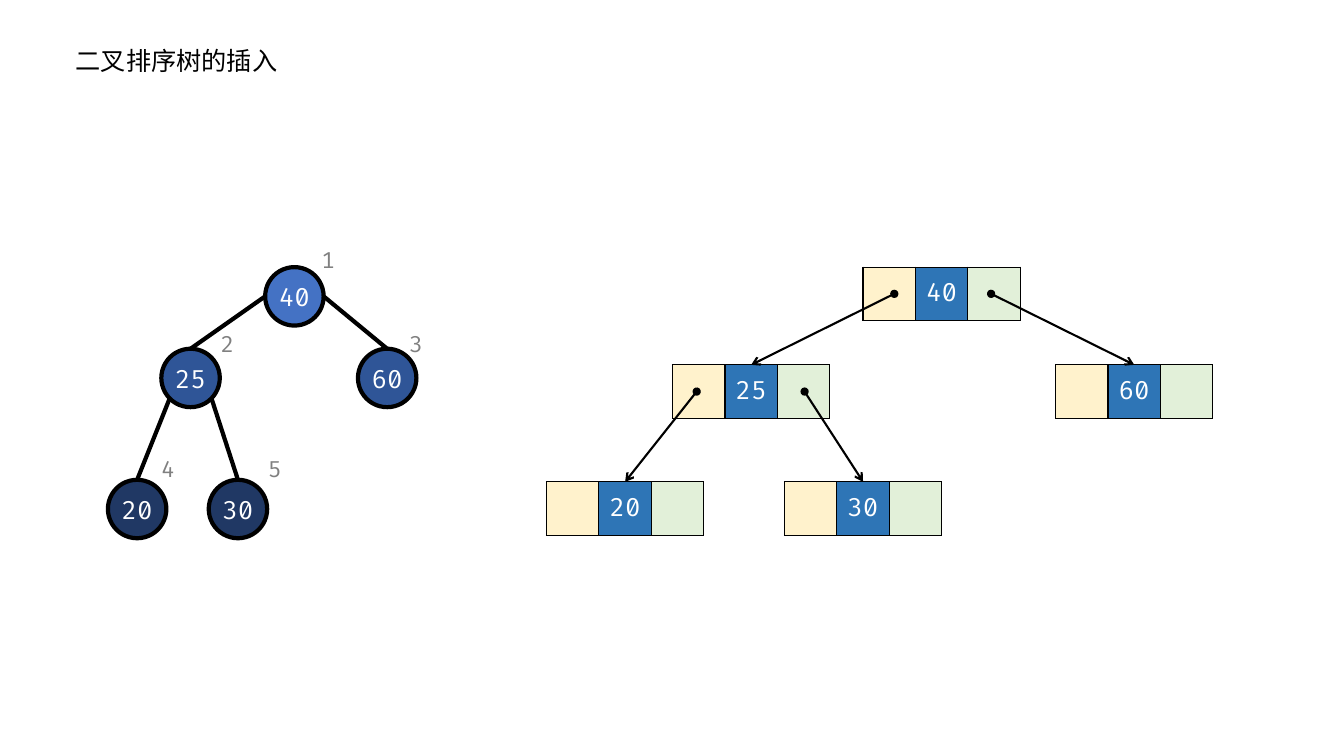
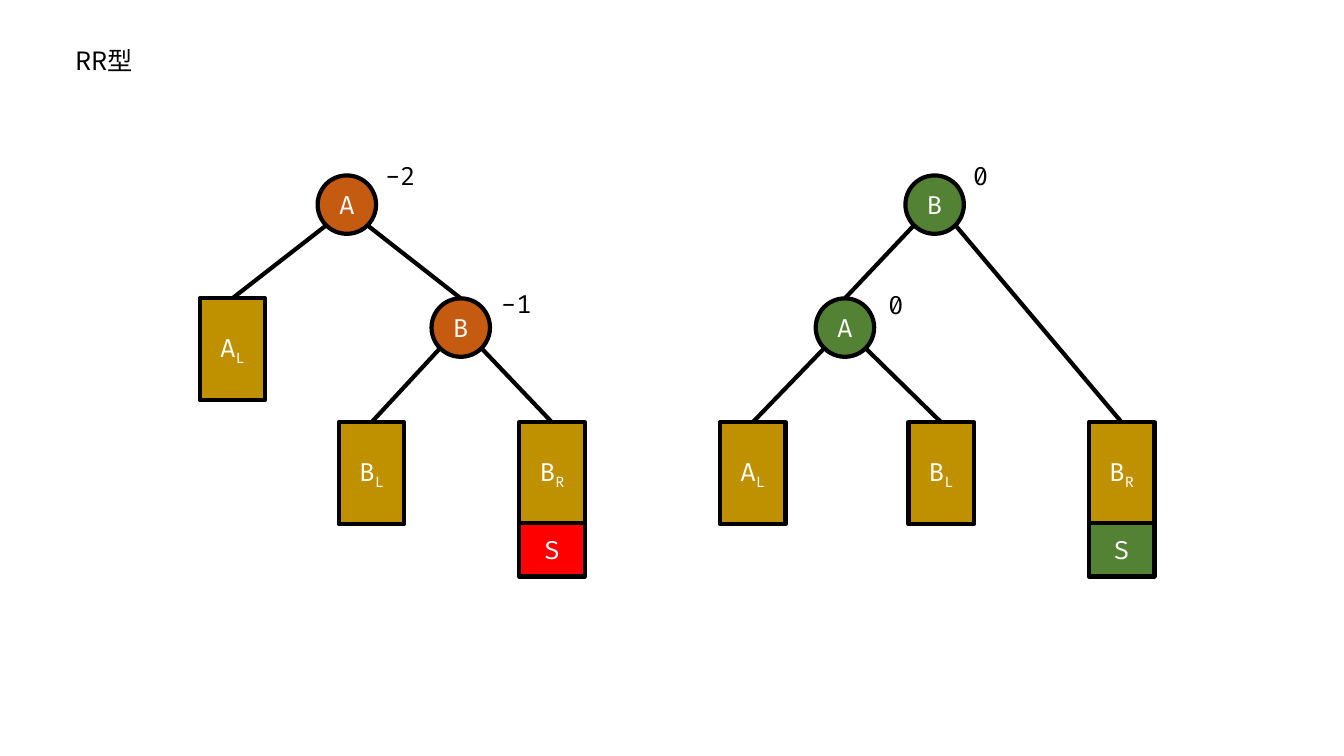
from lxml.etree import SubElement
from pptx import Presentation
from pptx.dml.color import RGBColor
from pptx.enum.shapes import MSO_CONNECTOR as Connector, MSO_SHAPE as Preset
from pptx.enum.text import MSO_ANCHOR as Anchor, MSO_AUTO_SIZE as AutoSize, PP_ALIGN as Align
from pptx.oxml import parse_xml
from pptx.oxml.ns import nsdecls, qn
from pptx.util import Inches, Pt

BLACK, WHITE, GREY = "000000", "FFFFFF", "808080"
LEVEL_BLUES = ["4472C4", "2F5597", "203864"]
CELL_COLORS = ["FFF2CC", "2E75B6", "E2F0D9"]
ORANGE, GREEN, GOLD, RED = "C55A11", "548235", "BF9000", "FF0000"
CODE_FONT, TITLE_FONT = "Fira Code", "Noto Sans CJK SC"
NODE = 0.58
CELL_WIDTH, CELL_HEIGHT = 0.52, 0.53
SUBTREE_WIDTH, SUBTREE_HEIGHT = 0.65, 1.01


def color(value):
    return RGBColor.from_string(value)


class Deck:
    def __init__(self):
        self.presentation = Presentation()
        self.presentation.slide_width = Inches(13.33)
        self.presentation.slide_height = Inches(7.5)
        self.slide = None

    def start_slide(self, title):
        layout = self.presentation.slide_layouts[5]
        self.slide = self.presentation.slides.add_slide(layout)
        background = self.slide.background.fill
        background.solid()
        background.fore_color.rgb = color(WHITE)
        shape = self.slide.shapes.title
        shape.left, shape.top = Inches(0.65), Inches(0.4)
        shape.width, shape.height = Inches(3.07), Inches(0.4)
        frame = shape.text_frame
        frame.word_wrap = True
        frame.auto_size = AutoSize.NONE
        frame.vertical_anchor = Anchor.TOP
        frame.paragraphs[0].alignment = Align.LEFT
        self.run(frame.paragraphs[0], title, BLACK, font=TITLE_FONT)

    def run(self, paragraph, text, ink, size=18, font=CODE_FONT, subscript=False):
        run = paragraph.add_run()
        run.text = text
        run.font.size = Pt(size)
        run.font.color.rgb = color(ink)
        run.font.name = font
        properties = run._r.get_or_add_rPr()
        SubElement(properties, qn("a:ea"), typeface=font)
        if subscript:
            properties.set("baseline", "-25000")

    def label(self, text, left, top, width=0.58, height=0.4, ink=BLACK, size=18):
        box = self.slide.shapes.add_textbox(
            Inches(left), Inches(top), Inches(width), Inches(height))
        box.text_frame.word_wrap = True
        box.text_frame.auto_size = AutoSize.SHAPE_TO_FIT_TEXT
        self.run(box.text_frame.paragraphs[0], text, ink, size)

    def block(self, preset, text, left, top, width, height, fill, subscript=""):
        shape = self.slide.shapes.add_shape(
            preset, Inches(left), Inches(top), Inches(width), Inches(height))
        shape.shadow.inherit = False
        shape.fill.solid()
        shape.fill.fore_color.rgb = color(fill)
        shape.line.color.rgb = color(BLACK)
        shape.line.width = Pt(3)
        frame = shape.text_frame
        frame.word_wrap = False
        frame.vertical_anchor = Anchor.MIDDLE
        paragraph = frame.paragraphs[0]
        paragraph.alignment = Align.CENTER
        self.run(paragraph, text, WHITE)
        if subscript:
            self.run(paragraph, subscript, WHITE, subscript=True)

    def node(self, text, left, top, fill):
        self.block(Preset.OVAL, text, left, top, NODE, NODE, fill)

    def subtree(self, text, subscript, left, top):
        self.block(Preset.RECTANGLE, text, left, top,
                   SUBTREE_WIDTH, SUBTREE_HEIGHT, GOLD, subscript)

    def inserted(self, left, top, fill):
        self.block(Preset.RECTANGLE, "S", left, top, SUBTREE_WIDTH, 0.53, fill)

    def line(self, start, end, width=3, pointer=False):
        connector = self.slide.shapes.add_connector(
            Connector.STRAIGHT, *(Inches(value) for value in (*start, *end)))
        connector.line.color.rgb = color(BLACK)
        connector.line.width = Pt(width)
        properties = connector._element.spPr
        if pointer:
            outline = properties.find(qn("a:ln"))
            SubElement(outline, qn("a:headEnd"), type="oval")
            SubElement(outline, qn("a:tailEnd"), type="arrow")
        SubElement(properties, qn("a:effectLst"))

    def branch(self, parent, child, child_width=NODE, from_side=False):
        left, top = parent
        target = child[0] + child_width / 2
        inset, drop = (0, NODE / 2) if from_side else (0.08, 0.5)
        goes_left = target < left + NODE / 2
        start = left + inset if goes_left else left + NODE - inset
        self.line((start, top + drop), (target, child[1]))

    def record(self, text, left, top):
        frame = self.slide.shapes.add_table(
            1, 3, Inches(left), Inches(top), Inches(3 * CELL_WIDTH), Inches(CELL_HEIGHT))
        table = frame.table
        table.first_row = table.horz_banding = False
        table.rows[0].height = Inches(CELL_HEIGHT)
        for column, fill in enumerate(CELL_COLORS):
            table.columns[column].width = Inches(CELL_WIDTH)
            cell = table.cell(0, column)
            cell.fill.solid()
            cell.fill.fore_color.rgb = color(fill)
            cell.margin_left = cell.margin_right = 0
            cell.vertical_anchor = Anchor.MIDDLE
            self.cell_border(cell)
        paragraph = table.cell(0, 1).text_frame.paragraphs[0]
        paragraph.alignment = Align.CENTER
        self.run(paragraph, text, WHITE)

    def cell_border(self, cell):
        properties = cell._tc.get_or_add_tcPr()
        for index, side in enumerate(("lnL", "lnR", "lnT", "lnB")):
            properties.insert(index, parse_xml(
                f'<a:{side} {nsdecls("a")} w="{Pt(1)}"><a:solidFill>'
                f'<a:srgbClr val="{BLACK}"/></a:solidFill></a:{side}>'))


def draw_insertion(deck):
    deck.start_slide("二叉排序树的插入")
    nodes = {"40": (2.63, 2.65, 0), "25": (1.6, 3.46, 1), "60": (3.55, 3.46, 1),
             "20": (1.07, 4.76, 2), "30": (2.07, 4.76, 2)}
    children = {"40": ("25", "60"), "25": ("20", "30")}
    for key, (left, top, level) in nodes.items():
        deck.node(key, left, top, LEVEL_BLUES[level])
    for parent, pair in children.items():
        for child in pair:
            deck.branch(nodes[parent][:2], nodes[child][:2], from_side=parent == "40")

    records = {"40": (8.56, 2.65), "25": (6.67, 3.62), "60": (10.47, 3.62),
               "20": (5.42, 4.78), "30": (7.78, 4.78)}
    pointer_offsets = {"40": (0.31, 1.27), "25": (0.24, 1.31)}
    for key, place in records.items():
        deck.record(key, *place)
    for parent, pair in children.items():
        left, top = records[parent]
        for child, offset in zip(pair, pointer_offsets[parent]):
            child_left, child_top = records[child]
            deck.line((left + offset, top + CELL_HEIGHT / 2),
                      (child_left + 1.5 * CELL_WIDTH, child_top), 1.5, pointer=True)

    positions = [(3.09, 2.39), (2.09, 3.23), (3.96, 3.23), (1.5, 4.47), (2.56, 4.47)]
    for number, (left, top) in enumerate(positions, 1):
        deck.label(str(number), left, top, 0.43, 0.37, GREY, 16)


def draw_rotation(deck, fill, added_fill, nodes, node_edge, subtrees, balances):
    for name, place in nodes.items():
        deck.node(name, *place, fill)
    deck.branch(*(nodes[name] for name in node_edge))
    for parent, name, side, left, top in subtrees:
        deck.branch(nodes[parent], (left, top), SUBTREE_WIDTH)
        deck.subtree(name, side, left, top)
    left, top = subtrees[-1][-2:]
    deck.inserted(left, top + 1, added_fill)
    for balance, left, top in balances:
        deck.label(balance, left, top)


deck = Deck()
draw_insertion(deck)
deck.start_slide("RR型")
draw_rotation(
    deck, ORANGE, RED, {"A": (3.15, 1.74), "B": (4.28, 2.96)}, "AB",
    [("A", "A", "L", 1.98, 2.96), ("B", "B", "L", 3.36, 4.19), ("B", "B", "R", 5.15, 4.19)],
    [("-2", 3.72, 1.54), ("-1", 4.87, 2.81)])
draw_rotation(
    deck, GREEN, GREEN, {"B": (8.98, 1.74), "A": (8.09, 2.96)}, "BA",
    [("A", "A", "L", 7.14, 4.19), ("A", "B", "L", 9.01, 4.19), ("B", "B", "R", 10.8, 4.19)],
    [("0", 9.55, 1.54), ("0", 8.71, 2.82)])
deck.presentation.save("out.pptx")
